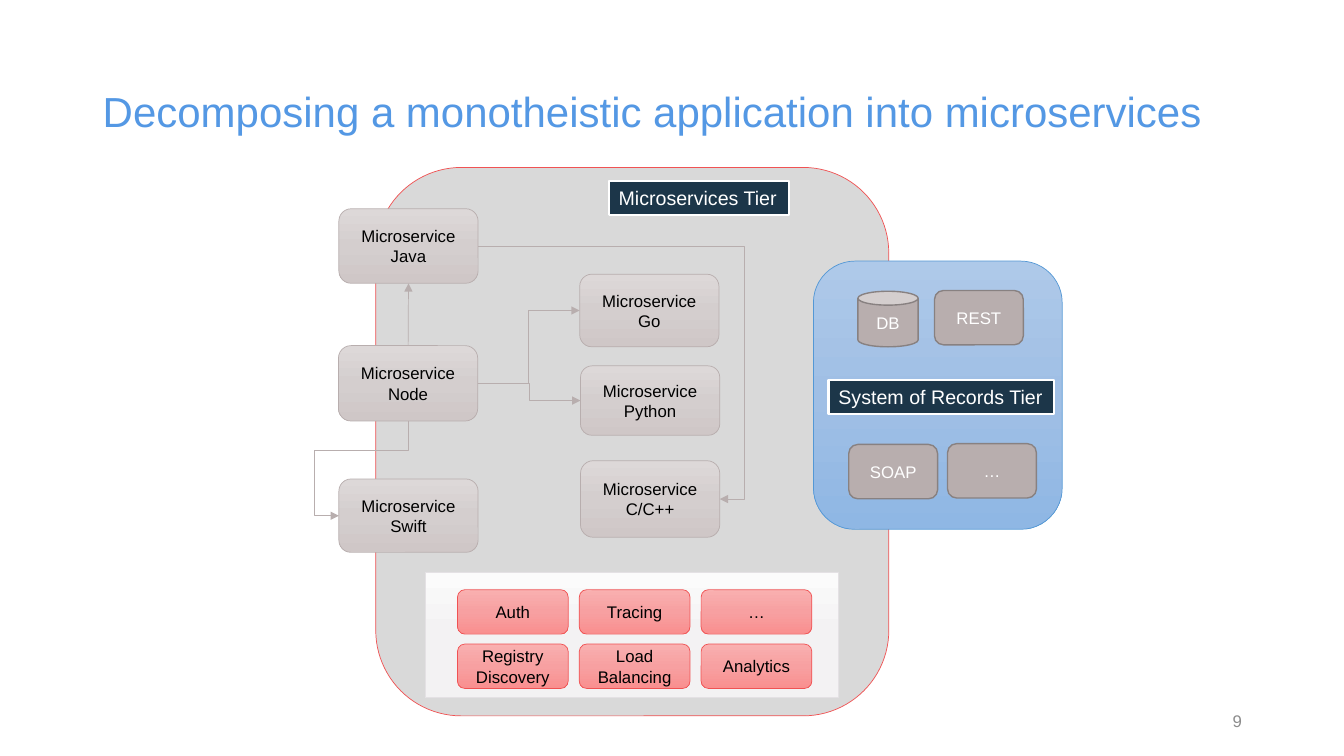
import copy
from dataclasses import dataclass
from typing import Optional

import pptx
import pptx.dml.color
import pptx.enum.shapes
import pptx.enum.text
import pptx.oxml.ns
import pptx.util

Cm = pptx.util.Cm
Pt = pptx.util.Pt
RGBColor = pptx.dml.color.RGBColor
Shape = pptx.enum.shapes.MSO_SHAPE
Wire = pptx.enum.shapes.MSO_CONNECTOR
Align = pptx.enum.text.PP_ALIGN
Anchor = pptx.enum.text.MSO_ANCHOR
qn = pptx.oxml.ns.qn

BLACK = RGBColor(0x00, 0x00, 0x00)
WHITE = RGBColor(0xFF, 0xFF, 0xFF)
TITLE = RGBColor(0x54, 0x98, 0xE4)
NUMBER = RGBColor(0x8C, 0x8C, 0x8C)
TIER = RGBColor(0xD9, 0xD9, 0xD9)
RED = RGBColor(0xF0, 0x52, 0x53)
BLUE = RGBColor(0x54, 0x98, 0xD5)
NAVY = RGBColor(0x1C, 0x36, 0x49)
TAUPE = RGBColor(0xB8, 0xAE, 0xAE)
BROWN = RGBColor(0x88, 0x81, 0x81)
PALE = RGBColor(0xE4, 0xE1, 0xE4)
GREYS = (RGBColor(0xDD, 0xD8, 0xD8), RGBColor(0xD4, 0xCE, 0xCE), RGBColor(0xCF, 0xC7, 0xC7))
PINKS = (RGBColor(0xF9, 0xB0, 0xB0), RGBColor(0xF7, 0xA0, 0xA1), RGBColor(0xF9, 0x8F, 0x8F))
LIGHTS = (RGBColor(0xFB, 0xFB, 0xFB), RGBColor(0xF3, 0xF2, 0xF3), RGBColor(0xF2, 0xF0, 0xF2))
BLUES = (RGBColor(0xAE, 0xC9, 0xE9), RGBColor(0xA0, 0xBF, 0xE5), RGBColor(0x8F, 0xB7, 0xE4))


@dataclass(frozen=True)
class Style:
    fill: tuple[RGBColor, ...]
    line: RGBColor
    width: float = 0.5
    ink: RGBColor = BLACK
    size: int = 12
    form: Shape = Shape.ROUNDED_RECTANGLE


@dataclass(frozen=True)
class Box:
    """A shape with its text; lengths in centimetres."""
    text: str
    left: float
    top: float
    width: float
    height: float
    style: Style


@dataclass(frozen=True)
class Link:
    """An arrow between two services; sites are 0 top, 1 left, 2 bottom, 3 right."""
    start: str
    out: int
    end: str
    into: int
    bends: tuple[float, ...] = ()


SERVICE = Style(GREYS, TAUPE)
HELPER = Style(PINKS, RED)
STORE = Style((TAUPE,), BROWN, 1, WHITE)
DRUM = Style((TAUPE,), BROWN, 1, WHITE, form=Shape.CAN)
LABEL = Style((NAVY,), WHITE, 1.5, WHITE, 14, Shape.RECTANGLE)
PANEL = Style(LIGHTS, PALE, form=Shape.RECTANGLE)

SERVICES = {
    name: Box(f"Microservice\n{name}", left, top, 3.51, height, SERVICE)
    for name, left, top, height in (
        ("Java", 8.54, 5.26, 1.88),
        ("Node", 8.53, 8.71, 1.9),
        ("Swift", 8.54, 12.07, 1.85),
        ("Go", 14.61, 6.91, 1.83),
        ("Python", 14.63, 9.22, 1.75),
        ("C/C++", 14.63, 11.61, 1.93),
    )
}
LINKS = (
    Link("Java", 3, "C/C++", 3, (1.1,)),
    Link("Node", 3, "Go", 1, (0.5,)),
    Link("Node", 2, "Swift", 1, (0.31, 1.36)),
    Link("Node", 3, "Python", 1, (0.5,)),
    Link("Node", 0, "Java", 2),
)
HELPERS = (("Auth", "Tracing", "…"), ("Registry\nDiscovery", "Load Balancing", "Analytics"))
STORES = (
    Box("DB", 21.62, 7.34, 1.52, 1.4, DRUM),
    Box("REST", 23.55, 7.32, 2.24, 1.37, STORE),
    Box("SOAP", 21.39, 11.2, 2.24, 1.37, STORE),
    Box("…", 23.88, 11.18, 2.24, 1.37, STORE),
)
LABELS = (
    Box("Microservices Tier", 15.34, 4.57, 4.55, 0.86, LABEL),
    Box("System of Records Tier", 20.88, 9.58, 5.69, 0.86, LABEL),
)


def write(frame, text: str, size: int, ink: RGBColor, align: Align) -> None:
    frame.text = text
    frame.word_wrap = True
    frame.vertical_anchor = Anchor.MIDDLE
    for para in frame.paragraphs:
        para.alignment = align
        for run in para.runs:
            run.font.name = "Arial"
            run.font.size = Pt(size)
            run.font.color.rgb = ink


def shade(fill, tones: tuple[RGBColor, ...]) -> None:
    """Fill plainly with one tone, or from top to bottom with three."""
    if len(tones) == 1:
        fill.solid()
        fill.fore_color.rgb = tones[0]
        return
    fill.gradient()
    fill.gradient_angle = 270
    first = fill.gradient_stops[0]._gs
    first.addnext(copy.deepcopy(first))
    for i, (stop, tone) in enumerate(zip(fill.gradient_stops, tones)):
        stop.position = i / (len(tones) - 1)
        stop.color.rgb = tone


def draw(slide, box: Box):
    style = box.style
    shape = slide.shapes.add_shape(
        style.form, Cm(box.left), Cm(box.top), Cm(box.width), Cm(box.height))
    shape.shadow.inherit = False
    shade(shape.fill, style.fill)
    shape.line.color.rgb = style.line
    shape.line.width = Pt(style.width)
    if box.text:
        write(shape.text_frame, box.text, style.size, style.ink, Align.CENTER)
    return shape


def tag(slide, box: Box) -> None:
    """Draw a tier label that grows with its text."""
    frame = draw(slide, box).text_frame
    frame.word_wrap = False
    frame.auto_size = pptx.enum.text.MSO_AUTO_SIZE.SHAPE_TO_FIT_TEXT
    frame.vertical_anchor = Anchor.TOP
    frame.paragraphs[0].alignment = Align.LEFT


def turn(wire) -> None:
    """Give a wire a quarter turn about its centre, so that it leaves downwards."""
    wide, high = wire.width, wire.height
    wire.left += (wide - high) // 2
    wire.top += (high - wide) // 2
    wire.width, wire.height = high, wide
    frame = wire._element.spPr.find(qn("a:xfrm"))
    frame.attrib.pop("flipH", None)
    frame.set("rot", "5400000")


def join(slide, link: Link, shapes: dict) -> None:
    kind = Wire.ELBOW if link.bends else Wire.STRAIGHT
    wire = slide.shapes.add_connector(kind, 0, 0, 0, 0)
    wire.begin_connect(shapes[link.start], link.out)
    wire.end_connect(shapes[link.end], link.into)
    wire.line.color.rgb = TAUPE
    wire.line.width = Pt(0.5)
    props = wire._element.spPr
    line = props.find(qn("a:ln"))
    line.append(line.makeelement(qn("a:tailEnd"), {"type": "triangle"}))
    props.append(props.makeelement(qn("a:effectLst"), {}))
    if link.bends:
        shape = props.find(qn("a:prstGeom"))
        shape.set("prst", f"bentConnector{len(link.bends) + 2}")
        guides = shape.find(qn("a:avLst"))
        for i, bend in enumerate(link.bends, 1):
            guide = {"name": f"adj{i}", "fmla": f"val {round(bend * 100000)}"}
            guides.append(guides.makeelement(qn("a:gd"), guide))
    if len(link.bends) == 2:
        turn(wire)


def note(slide, text: str, area: tuple[float, ...], size: int, ink: RGBColor,
         align: Align, space: Optional[float] = None) -> None:
    frame = slide.shapes.add_textbox(*map(Cm, area)).text_frame
    write(frame, text, size, ink, align)
    frame.paragraphs[0].line_spacing = space


def main() -> None:
    deck = pptx.Presentation()
    deck.slide_width, deck.slide_height = Cm(33.87), Cm(19.05)
    slide = deck.slides.add_slide(deck.slide_layouts[6])
    note(slide, "Decomposing a monotheistic application into microservices",
         (2.34, 1.02, 28.24, 3.68), 30, TITLE, Align.LEFT, 0.9)
    draw(slide, Box("", 9.47, 4.22, 12.93, 13.82, Style((TIER,), RED)))
    shapes = {name: draw(slide, box) for name, box in SERVICES.items()}
    for link in LINKS:
        join(slide, link, shapes)
    draw(slide, Box("", 10.72, 14.43, 10.41, 3.15, PANEL))
    for i, row in enumerate(HELPERS):
        for j, text in enumerate(row):
            draw(slide, Box(text, 11.53 + 3.07 * j, 14.86 + 1.37 * i, 2.79, 1.12, HELPER))
    draw(slide, Box("", 20.5, 6.58, 6.27, 6.76, Style(BLUES, BLUE)))
    for box in STORES:
        draw(slide, box)
    for box in LABELS:
        tag(slide, box)
    note(slide, "9", (23.93, 17.65, 7.62, 1.02), 12, NUMBER, Align.RIGHT)
    deck.save("out.pptx")


if __name__ == "__main__":
    main()
